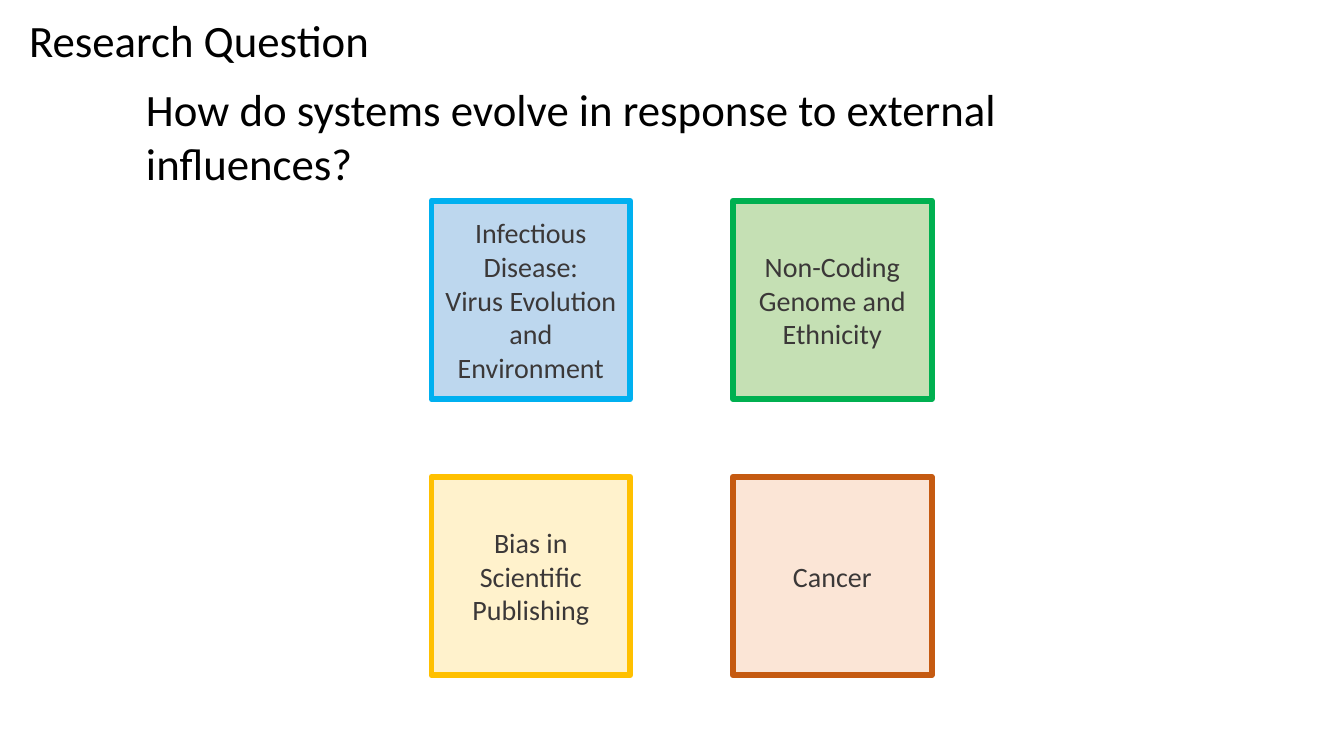
import pptx
import pptx.dml.color
import pptx.enum.shapes
import pptx.enum.text
import pptx.util

SLIDE_WIDTH, SLIDE_HEIGHT = 13.33, 7.5
FONT = "Calibri"
TOPIC_SIDE = 1.97
TOPICS = [
    [(["Infectious Disease:", "Virus Evolution and Environment"], "BDD7EE", "00B0F0"),
     (["Non-Coding Genome and Ethnicity"], "C5E0B4", "00B050")],
    [(["Bias in Scientific Publishing"], "FFF2CC", "FFC000"),
     (["Cancer"], "FBE5D6", "C55A11")],
]


def paint(color_format, hex_color):
    color_format.rgb = pptx.dml.color.RGBColor.from_string(hex_color)


def write(frame, lines, size, hex_color, alignment):
    frame.word_wrap = True
    for index, line in enumerate(lines):
        paragraph = frame.paragraphs[0] if index == 0 else frame.add_paragraph()
        paragraph.text = line
        paragraph.alignment = alignment
        paragraph.font.name = FONT
        paragraph.font.size = pptx.util.Pt(size)
        paint(paragraph.font.color, hex_color)


def add_heading(slide, text, box):
    heading = slide.shapes.add_textbox(*map(pptx.util.Inches, box))
    write(heading.text_frame, [text], 32, "000000", pptx.enum.text.PP_ALIGN.LEFT)


def add_topic(slide, lines, fill, border, box):
    topic = slide.shapes.add_shape(
        pptx.enum.shapes.MSO_SHAPE.RECTANGLE, *map(pptx.util.Inches, box))
    topic.shadow.inherit = False
    topic.fill.solid()
    paint(topic.fill.fore_color, fill)
    paint(topic.line.color, border)
    topic.line.width = pptx.util.Pt(4.25)
    topic.text_frame.vertical_anchor = pptx.enum.text.MSO_ANCHOR.MIDDLE
    write(topic.text_frame, lines, 20, "3B3838", pptx.enum.text.PP_ALIGN.CENTER)


def add_topic_grid(slide, box):
    """Place the topics as squares in the corners of the box."""
    left, top, width, height = box
    column_step = (width - TOPIC_SIDE) / (len(TOPICS[0]) - 1)
    row_step = (height - TOPIC_SIDE) / (len(TOPICS) - 1)
    for row, topics in enumerate(TOPICS):
        for column, (lines, fill, border) in enumerate(topics):
            add_topic(slide, lines, fill, border,
                      (left + column * column_step, top + row * row_step,
                       TOPIC_SIDE, TOPIC_SIDE))


def main():
    deck = pptx.Presentation()
    deck.slide_width = pptx.util.Inches(SLIDE_WIDTH)
    deck.slide_height = pptx.util.Inches(SLIDE_HEIGHT)
    slide = deck.slides.add_slide(deck.slide_layouts[6])
    add_heading(slide, "How do systems evolve in response to external influences?",
                (1.35, 0.76, 10.77, 0.64))
    add_heading(slide, "Research Question", (0.19, 0.08, 3.61, 0.64))
    add_topic_grid(slide, (4.28, 1.99, 4.96, 4.71))
    deck.save("out.pptx")


if __name__ == "__main__":
    main()
